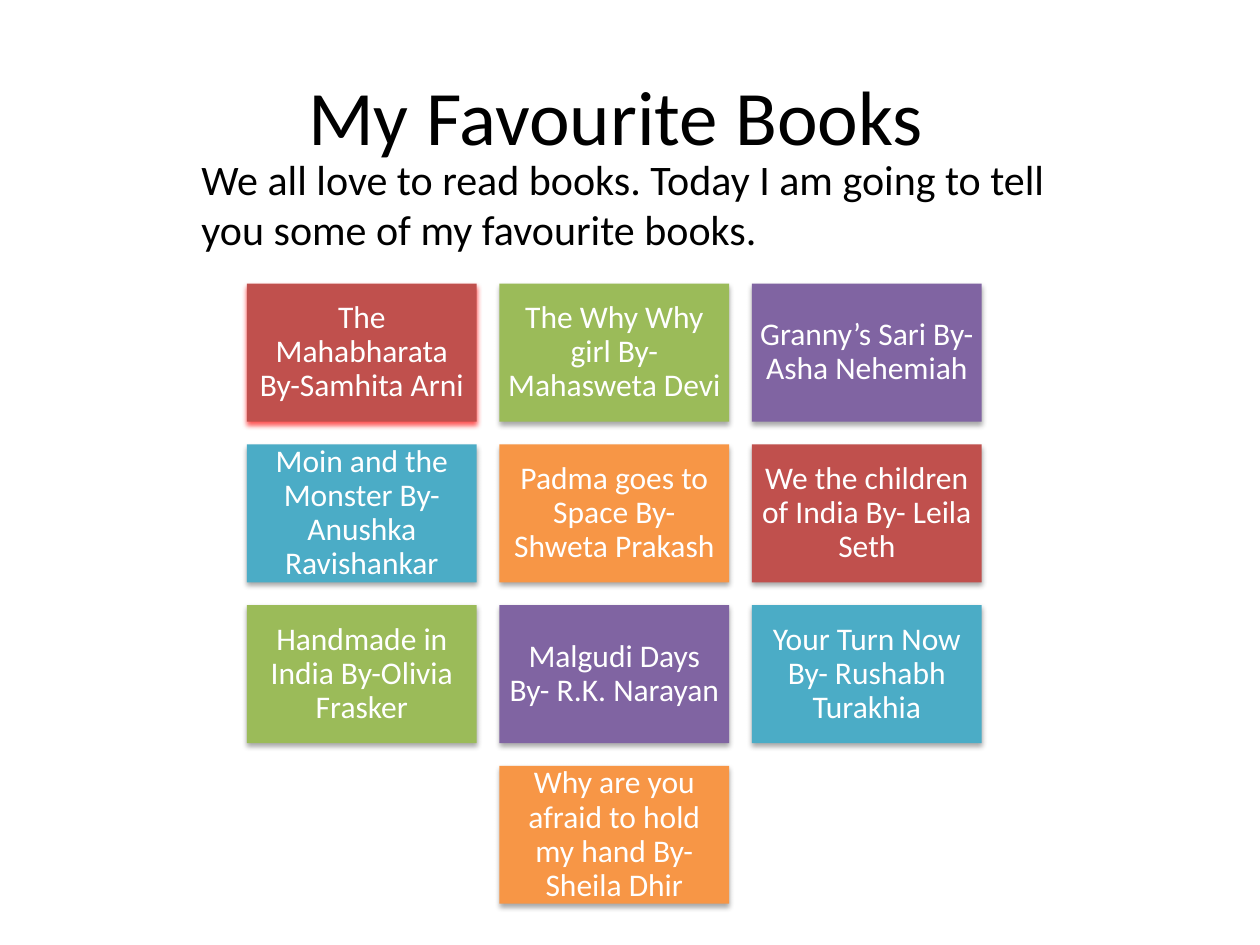
from lxml.etree import SubElement
from pptx import Presentation
from pptx.dml.color import RGBColor
from pptx.enum.shapes import MSO_SHAPE as Shape
from pptx.enum.text import MSO_ANCHOR as Anchor, PP_ALIGN as Align
from pptx.oxml.ns import qn
from pptx.util import Cm, Pt

BLACK = RGBColor(0x00, 0x00, 0x00)
WHITE = RGBColor(0xFF, 0xFF, 0xFF)
RED = RGBColor(0xC0, 0x50, 0x4D)
GREEN = RGBColor(0x9B, 0xBB, 0x59)
PURPLE = RGBColor(0x80, 0x64, 0xA2)
BLUE = RGBColor(0x4B, 0xAC, 0xC6)
ORANGE = RGBColor(0xF7, 0x96, 0x46)
GLOW_RED = RGBColor(0xFF, 0x00, 0x00)

FONT = "Calibri"
COLOURS = [RED, GREEN, PURPLE, BLUE, ORANGE]
BOOKS = [
    "The Mahabharata By-Samhita Arni",
    "The Why Why girl By- Mahasweta Devi",
    "Granny’s Sari By- Asha Nehemiah",
    "Moin and the Monster By- Anushka Ravishankar",
    "Padma goes to Space By- Shweta Prakash",
    "We the children of India By- Leila Seth",
    "Handmade in India By-Olivia Frasker",
    "Malgudi Days By- R.K. Narayan",
    "Your Turn Now By- Rushabh Turakhia",
    "Why are you afraid to hold my hand By- Sheila Dhir",
]
COLUMNS = 3
GRID_LEFT, GRID_TOP = 4.98, 5.72
CARD_WIDTH, CARD_HEIGHT, GAP = 4.63, 2.78, 0.46


def format_text(frame, size, colour, align):
    frame.word_wrap = True
    for paragraph in frame.paragraphs:
        paragraph.alignment = align
        for run in paragraph.runs:
            run.font.name = FONT
            run.font.size = Pt(size)
            run.font.color.rgb = colour


def drop_shadow(shape, colour, opacity):
    """Cast a soft shadow straight down; opacity is in percent."""
    shape.shadow.inherit = False
    effects = shape.element.spPr.find(qn("a:effectLst"))
    shadow = SubElement(effects, qn("a:outerShdw"), blurRad=str(Pt(3.1)),
                        dist=str(Pt(1.8)), dir="5400000", rotWithShape="0")
    tint = SubElement(shadow, qn("a:srgbClr"), val=str(colour))
    SubElement(tint, qn("a:alpha"), val=str(opacity * 1000))


presentation = Presentation()
presentation.slide_width = Cm(25.4)
presentation.slide_height = Cm(19.05)
slide = presentation.slides.add_slide(presentation.slide_layouts[5])

title = slide.shapes.title
title.left, title.top = Cm(2.74), Cm(0.64)
title.width, title.height = Cm(19.35), Cm(3.35)
title.text_frame.text = "My Favourite Books"
title.text_frame.vertical_anchor = Anchor.MIDDLE
format_text(title.text_frame, 44, BLACK, Align.CENTER)

for index, book in enumerate(BOOKS):
    row, column = divmod(index, COLUMNS)
    # A row that is not full is centred under the others
    in_row = min(COLUMNS, len(BOOKS) - row * COLUMNS)
    column += (COLUMNS - in_row) / 2
    card = slide.shapes.add_shape(
        Shape.RECTANGLE,
        Cm(GRID_LEFT + column * (CARD_WIDTH + GAP)),
        Cm(GRID_TOP + row * (CARD_HEIGHT + GAP)),
        Cm(CARD_WIDTH), Cm(CARD_HEIGHT))
    card.fill.solid()
    card.fill.fore_color.rgb = COLOURS[index % len(COLOURS)]
    card.line.fill.background()
    if index == 0:
        drop_shadow(card, GLOW_RED, 68)
    else:
        drop_shadow(card, BLACK, 35)

    label = card.text_frame
    label.text = book
    label.vertical_anchor = Anchor.MIDDLE
    label.margin_left = label.margin_right = Cm(0.16)
    label.margin_top = label.margin_bottom = Cm(0.16)
    label.paragraphs[0].line_spacing = 0.9
    format_text(label, 18, WHITE, Align.CENTER)

intro = slide.shapes.add_textbox(Cm(3.81), Cm(2.97), Cm(18.42), Cm(2.31))
intro.text_frame.text = ("We all love to read books. Today I am going to tell "
                         "you some of my favourite books.")
format_text(intro.text_frame, 24, BLACK, Align.LEFT)

presentation.save("out.pptx")
